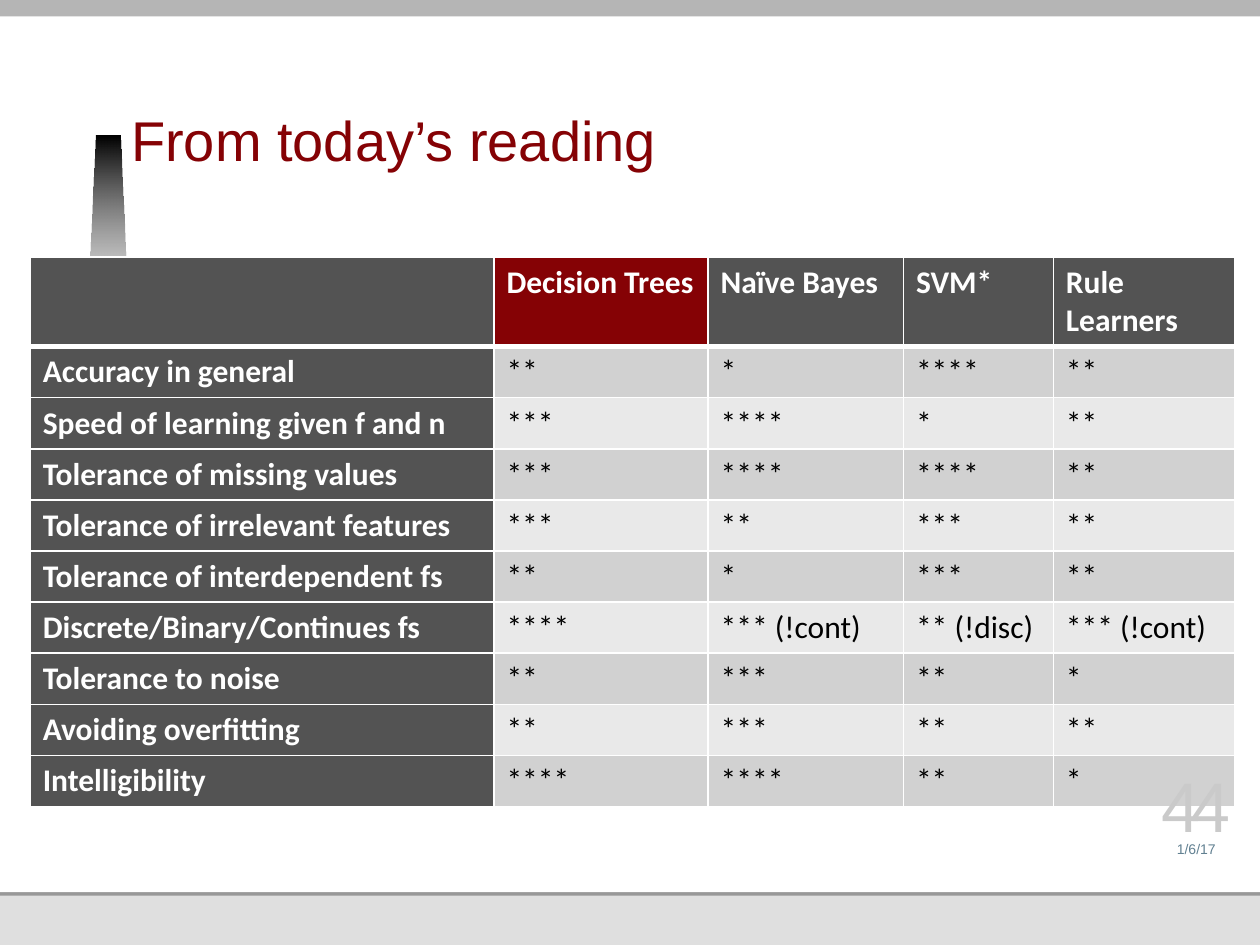
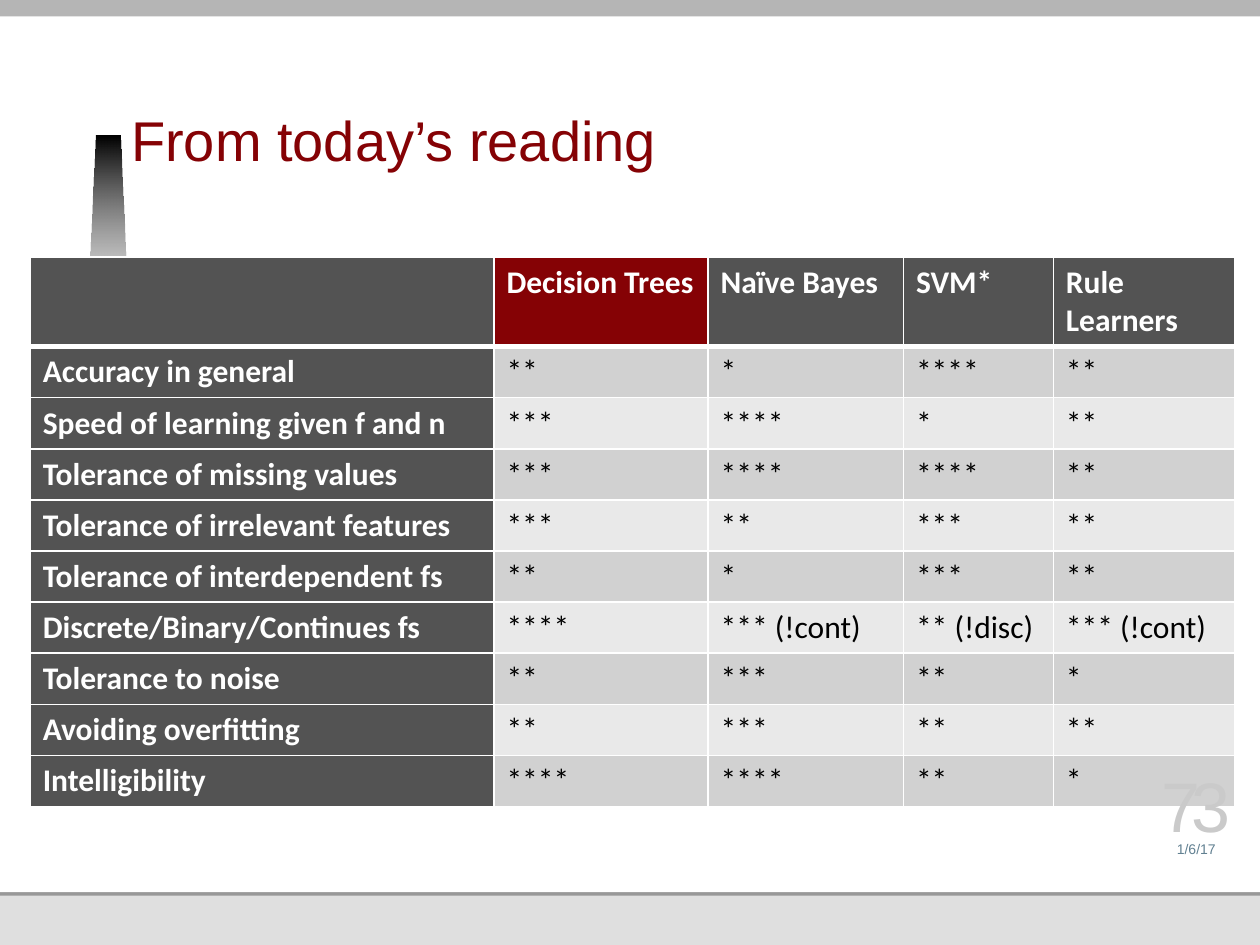
from dataclasses import dataclass

from lxml.etree import SubElement
from pptx import Presentation
from pptx.dml.color import RGBColor
from pptx.enum.shapes import MSO_SHAPE
from pptx.enum.text import MSO_ANCHOR, MSO_AUTO_SIZE, PP_ALIGN
from pptx.oxml.ns import qn
from pptx.util import Inches, Pt

COLORS = {
    "white": "FFFFFF",
    "black": "000000",
    "footer": "DFDFDF",
    "rule": "989898",
    "top_band": "B5B5B5",
    "accent": "850205",
    "header": "535353",
    "odd_row": "D1D1D1",
    "even_row": "E9E9E9",
    "date": "618091",
    "number": "CACACA",
}
TITLE = "From today’s reading"
DATE = "1/6/17"
PAGE_NUMBERS = ("44", "73")
TITLE_ONLY = 5

COLUMN_WIDTHS = (3.68, 1.7, 1.55, 1.19, 1.44)
TABLE_HEIGHT = 4.35
HEADER_HEIGHT = 0.7
RATINGS = (
    ("", "Decision Trees", "Naïve Bayes", "SVM*", "Rule Learners"),
    ("Accuracy in general", "**", "*", "****", "**"),
    ("Speed of learning given f and n", "***", "****", "*", "**"),
    ("Tolerance of missing values", "***", "****", "****", "**"),
    ("Tolerance of irrelevant features", "***", "**", "***", "**"),
    ("Tolerance of interdependent fs", "**", "*", "***", "**"),
    ("Discrete/Binary/Continues fs", "****", "*** (!cont)", "** (!disc)", "*** (!cont)"),
    ("Tolerance to noise", "**", "***", "**", "*"),
    ("Avoiding overfitting", "**", "***", "**", "**"),
    ("Intelligibility", "****", "****", "**", "*"),
)


@dataclass(frozen=True)
class Band:
    top: float
    width: float
    height: float
    color: str


@dataclass(frozen=True)
class Stamp:
    top: float
    height: float
    size: int
    color: str
    tracking: int = 0


BACKGROUND_BANDS = (
    Band(0, 10, 7.5, "footer"),
    Band(1.78, 10, 5.33, "rule"),
    Band(0, 10, 7.08, "white"),
)
TOP_BAND = Band(-0.04, 10.17, 0.17, "top_band")
DATE_STAMP = Stamp(6.58, 0.22, 8, "date")
NUMBER_STAMP = Stamp(6.16, 0.56, 40, "number", tracking=-500)


def rgb(name: str) -> RGBColor:
    return RGBColor.from_string(COLORS[name])


def style(para, font_name: str, size: int, color: str, bold: bool = False) -> None:
    para.font.name = font_name
    para.font.size = Pt(size)
    para.font.bold = bold
    para.font.color.rgb = rgb(color)


def set_frame(frame, bottom_inset: float = 0) -> None:
    """Anchor text at the bottom of a frame without side insets."""
    frame.word_wrap = True
    frame.auto_size = MSO_AUTO_SIZE.NONE
    frame.vertical_anchor = MSO_ANCHOR.BOTTOM
    frame.margin_left = frame.margin_right = frame.margin_top = 0
    frame.margin_bottom = Inches(bottom_inset)


def add_band(page, band: Band) -> None:
    shape = page.shapes.add_shape(
        MSO_SHAPE.RECTANGLE, 0, Inches(band.top), Inches(band.width), Inches(band.height)
    )
    shape.shadow.inherit = False
    shape.fill.solid()
    shape.fill.fore_color.rgb = rgb(band.color)
    shape.line.fill.background()


def add_pillar(page) -> None:
    """Draw the tapered bar beside the title, fading out downwards."""
    corners = [(0.67, 3.05), (0.76, 1.08), (0.95, 1.08), (1.04, 3.05)]
    points = [(Inches(x), Inches(y)) for x, y in corners]
    builder = page.shapes.build_freeform(*points[0])
    builder.add_line_segments(points[1:], close=True)
    pillar = builder.convert_to_shape()
    pillar.shadow.inherit = False
    pillar.line.fill.background()
    pillar.fill.gradient()
    pillar.fill.gradient_angle = 270
    for stop, color, position in zip(pillar.fill.gradient_stops, ("black", "white"), (0, 1)):
        stop.color.rgb = rgb(color)
        stop.position = position
    clear_stop = list(pillar.element.iter(qn("a:gs")))[-1]
    SubElement(clear_stop[0], qn("a:alpha"), val="0")


def set_title(page) -> None:
    title = page.shapes.title
    title.element.getparent().append(title.element)
    title.left, title.top = Inches(1.04), Inches(0.34)
    title.width, title.height = Inches(6.87), Inches(1.08)
    set_frame(title.text_frame, bottom_inset=0.05)
    title.text_frame.text = TITLE
    para = title.text_frame.paragraphs[0]
    para.alignment = PP_ALIGN.LEFT
    para.line_spacing = Pt(34)
    style(para, "Arial", 32, "accent")


def set_borders(cell, top: int, bottom: int) -> None:
    """Draw white borders; call before filling, as fills follow borders."""
    properties = cell._tc.get_or_add_tcPr()
    for side, points in (("L", 1), ("R", 1), ("T", top), ("B", bottom)):
        line = SubElement(properties, qn(f"a:ln{side}"), w=str(Pt(points)))
        fill = SubElement(line, qn("a:solidFill"))
        SubElement(fill, qn("a:srgbClr"), val=COLORS["white"])


def cell_fill(row: int, column: int) -> str:
    if (row, column) == (0, 1):
        return "accent"
    if row == 0 or column == 0:
        return "header"
    return "odd_row" if row % 2 else "even_row"


def add_ratings(page) -> None:
    table = page.shapes.add_table(
        len(RATINGS), len(COLUMN_WIDTHS), Inches(0.24), Inches(2.04),
        Inches(sum(COLUMN_WIDTHS)), Inches(TABLE_HEIGHT),
    ).table
    table.first_col = True
    for column, width in zip(table.columns, COLUMN_WIDTHS):
        column.width = Inches(width)
    body_height = (TABLE_HEIGHT - HEADER_HEIGHT) / (len(RATINGS) - 1)
    for row, texts in enumerate(RATINGS):
        table.rows[row].height = Inches(body_height if row else HEADER_HEIGHT)
        for column, text in enumerate(texts):
            cell = table.cell(row, column)
            set_borders(cell, top=3 if row == 1 else 1, bottom=1 if row else 3)
            cell.fill.solid()
            cell.fill.fore_color.rgb = rgb(cell_fill(row, column))
            cell.text = text
            heading = row == 0 or column == 0
            color = "white" if heading else "black"
            style(cell.text_frame.paragraphs[0], "Calibri", 18, color, heading)


def add_stamp(page, stamp: Stamp, text: str) -> None:
    box = page.shapes.add_textbox(
        Inches(9.13), Inches(stamp.top), Inches(0.73), Inches(stamp.height)
    )
    set_frame(box.text_frame)
    para = box.text_frame.paragraphs[0]
    para.text = text
    para.alignment = PP_ALIGN.CENTER
    style(para, "Arial", stamp.size, stamp.color)
    if stamp.tracking:
        for span in box.element.iter(qn("a:r")):
            span.get_or_add_rPr().set("spc", str(stamp.tracking))


def add_page(deck, number: str) -> None:
    page = deck.slides.add_slide(deck.slide_layouts[TITLE_ONLY])
    for band in BACKGROUND_BANDS:
        add_band(page, band)
    add_pillar(page)
    add_band(page, TOP_BAND)
    set_title(page)
    add_ratings(page)
    add_stamp(page, DATE_STAMP, DATE)
    add_stamp(page, NUMBER_STAMP, number)


def main() -> None:
    deck = Presentation()
    deck.slide_width, deck.slide_height = Inches(10), Inches(7.5)
    for number in PAGE_NUMBERS:
        add_page(deck, number)
    deck.save("out.pptx")


if __name__ == "__main__":
    main()
